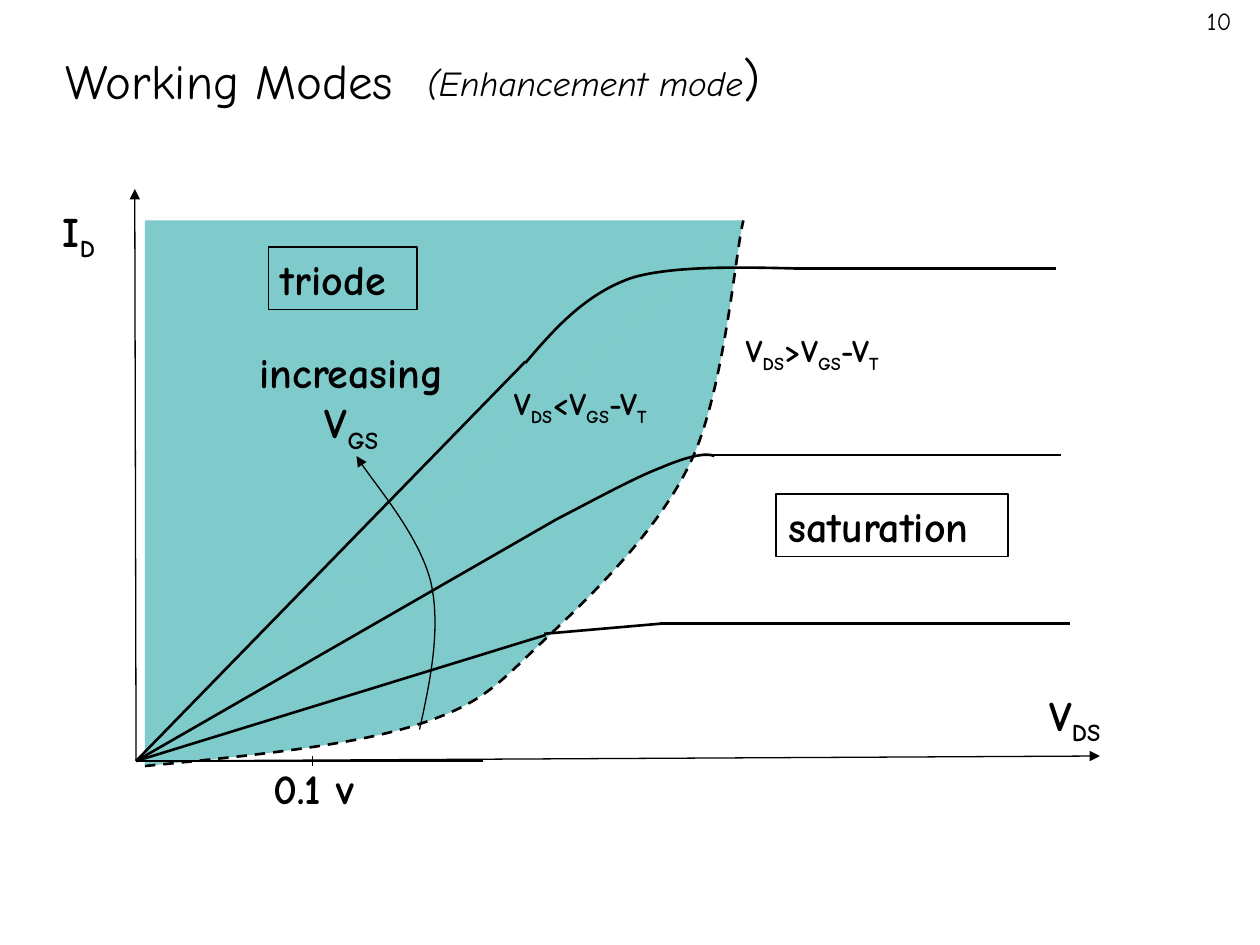
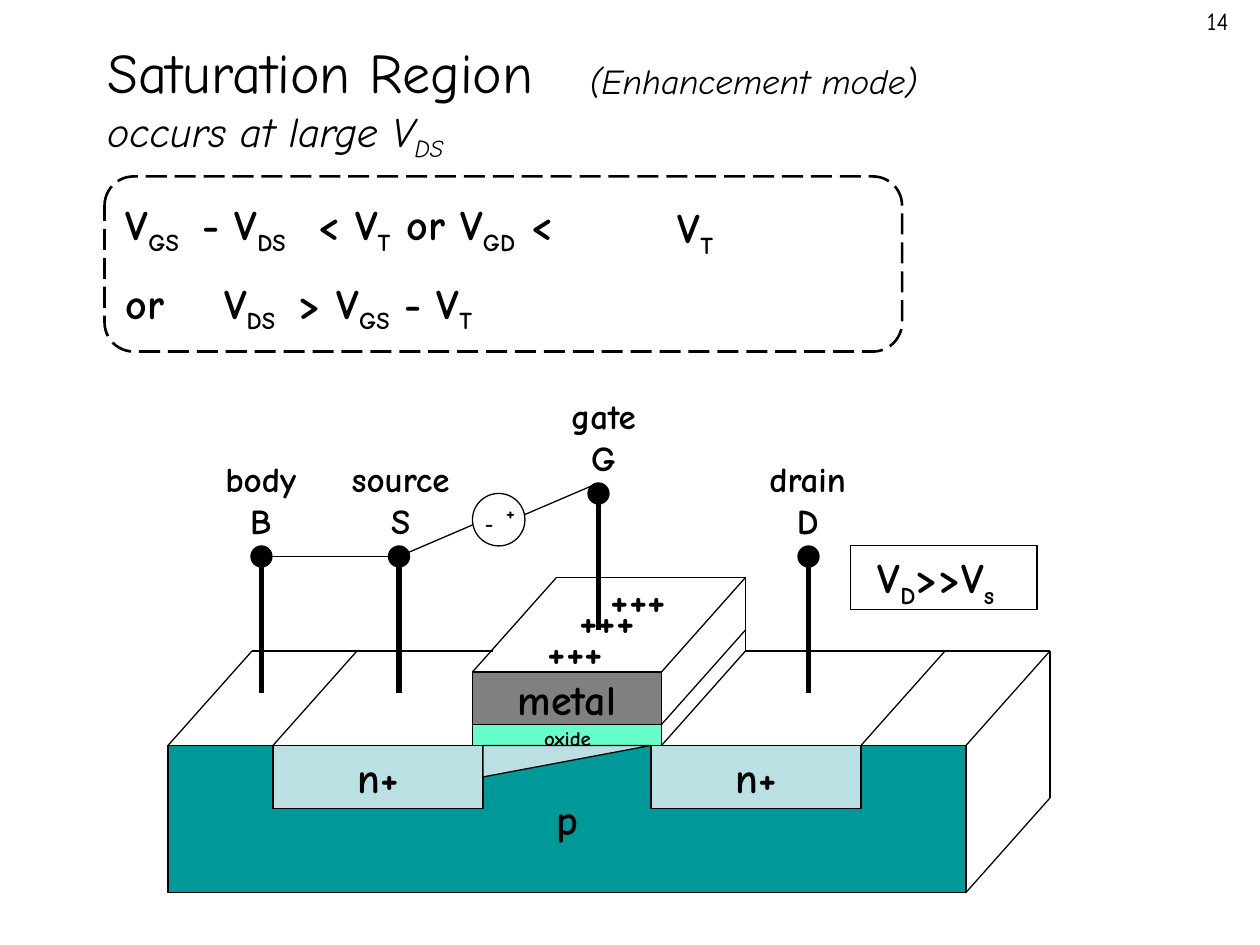
from dataclasses import dataclass

from lxml import etree
from pptx import Presentation
from pptx.dml.color import RGBColor
from pptx.enum.dml import MSO_LINE
from pptx.enum.shapes import MSO_CONNECTOR, MSO_SHAPE
from pptx.enum.text import MSO_ANCHOR, MSO_AUTO_SIZE, PP_ALIGN
from pptx.oxml.ns import qn
from pptx.util import Inches, Pt

RECT, OVAL = MSO_SHAPE.RECTANGLE, MSO_SHAPE.OVAL
TRIANGLE, ROUNDED = MSO_SHAPE.RIGHT_TRIANGLE, MSO_SHAPE.FLOWCHART_ALTERNATE_PROCESS
STRAIGHT = MSO_CONNECTOR.STRAIGHT
LEFT, CENTER = PP_ALIGN.LEFT, PP_ALIGN.CENTER
TOP, MIDDLE = MSO_ANCHOR.TOP, MSO_ANCHOR.MIDDLE
GROW, NO_FIT = MSO_AUTO_SIZE.SHAPE_TO_FIT_TEXT, MSO_AUTO_SIZE.NONE
DASH, LONG_DASH = MSO_LINE.DASH, MSO_LINE.LONG_DASH

FONT = "Comic Neue"
COLORS = {
    "ink": "000000", "paper": "FFFFFF", "teal": "009999",
    "doped": "BBE0E3", "oxide": "66FFCC", "metal": "808080",
}
THIN, MEDIUM, THICK = 0.75, 1.5, 3


@dataclass
class Label:
    """Text in a box; underscores enclose subscripts, newlines split paragraphs."""
    left: float
    top: float
    width: float
    height: float
    text: str
    size: float = 24
    align: PP_ALIGN = LEFT
    bold: bool = True
    italic: bool = False


@dataclass
class Block:
    """Front face of a layer, in grid units."""
    left: float
    top: float
    width: float
    height: float
    fill: str
    text: str = ""


@dataclass
class Terminal:
    """Dot centre in grid units, label centre in inches."""
    x: float
    y: float
    label_x: float
    text: str


# Shared helpers
def grid(*units: float):
    """Twelfths of an inch as inches."""
    return tuple(u / 12 for u in units)


def rgb(name):
    return RGBColor.from_string(COLORS[name])


def add_runs(p, text: str, size: float, bold=False, italic=False):
    fmt = {"name": FONT, "size": Pt(size), "bold": bold, "italic": italic}
    for i, part in enumerate(text.split("_")):
        if not part:
            continue
        r = p.add_run()
        r.text = part
        for name, value in fmt.items():
            setattr(r.font, name, value)
        r.font.color.rgb = rgb("ink")
        if i % 2:
            r._r.get_or_add_rPr().set("baseline", "-25000")


def write(tf, label: Label):
    for i, line in enumerate(label.text.split("\n")):
        p = tf.add_paragraph() if i else tf.paragraphs[0]
        p.alignment = label.align
        add_runs(p, line, label.size, label.bold, label.italic)


def add_label(slide, label: Label, wrap=False):
    box = (label.left, label.top, label.width, label.height)
    sp = slide.shapes.add_textbox(*map(Inches, box))
    tf = sp.text_frame
    tf.word_wrap, tf.auto_size = wrap, GROW
    write(tf, label)
    return tf


def set_tabs(p, *stops: float):
    tabs = etree.SubElement(p._p.get_or_add_pPr(), qn("a:tabLst"))
    for stop in stops:
        etree.SubElement(tabs, qn("a:tab"), pos=str(Inches(stop)), algn="l")


def set_line(line, width: float, dash=None):
    line.color.rgb = rgb("ink")
    line.width = Pt(width)
    if dash:
        line.dash_style = dash


def add_arrowhead(line):
    etree.SubElement(line._get_or_add_ln(), qn("a:tailEnd"), type="triangle")


def style_shape(sp, fill=None, width=None, dash=None, alpha=None):
    sp.shadow.inherit = False
    if fill:
        sp.fill.solid()
        sp.fill.fore_color.rgb = rgb(fill)
        if alpha:
            clr = sp._element.spPr.find(".//" + qn("a:srgbClr"))
            etree.SubElement(clr, qn("a:alpha"), val=str(alpha * 1000))
    else:
        sp.fill.background()
    if width:
        set_line(sp.line, width, dash)
    else:
        sp.line.fill.background()


def add_shape(slide, kind, box, fill=None, width=THIN, flip=False, **style):
    sp = slide.shapes.add_shape(kind, *map(Inches, box))
    style_shape(sp, fill, width, **style)
    if flip:
        sp._element.spPr.xfrm.set("flipV", "1")
    return sp


def add_boxed_label(slide, label: Label):
    box = (label.left, label.top, label.width, label.height)
    tf = add_shape(slide, RECT, box).text_frame
    tf.word_wrap, tf.vertical_anchor = True, TOP
    write(tf, label)


def add_line(slide, start, end, width=THIN, arrow=False):
    cx = slide.shapes.add_connector(STRAIGHT, *map(Inches, (*start, *end)))
    set_line(cx.line, width)
    if arrow:
        add_arrowhead(cx.line)
    etree.SubElement(cx._element.spPr, qn("a:effectLst"))


def add_curve(slide, points, width=MEDIUM, arrow=False, **style):
    """Joined cubic curves: a start, then two control points and an end for each."""
    start, *rest = [(Inches(x), Inches(y)) for x, y in points]
    fb = slide.shapes.build_freeform(*start, scale=1.0)
    fb.add_line_segments(rest, close=False)
    sp = fb.convert_to_shape()
    segments = list(sp._element.iter(qn("a:lnTo")))
    for i in range(0, len(segments), 3):
        first, *others = segments[i:i + 3]
        cubic = etree.SubElement(first.getparent(), qn("a:cubicBezTo"))
        for seg in (first, *others):
            cubic.append(seg[0])
            seg.getparent().remove(seg)
    style_shape(sp, width=width, **style)
    if arrow:
        add_arrowhead(sp.line)


def new_slide(prs, number: str, title_box, anchor):
    """Slide with its number; returns it with the first title paragraph."""
    slide = prs.slides.add_slide(prs.slide_layouts[5])
    sp = slide.shapes.title
    sp.left, sp.top, sp.width, sp.height = map(Inches, title_box)
    tf = sp.text_frame
    tf.auto_size, tf.vertical_anchor, tf.word_wrap = NO_FIT, anchor, True
    tf.paragraphs[0].alignment = LEFT
    add_label(slide, Label(9.48, 0, 0.52, 0.34, number, 14, bold=False))
    return slide, tf.paragraphs[0]


# Slide with the current-voltage curves
def working_modes(prs):
    slide, title = new_slide(prs, "10", (0.42, 0.35, 9, 0.73), TOP)
    add_runs(title, "Working Modes", 28)

    # Triode region and its boundary
    boundary = [(1.15, 6.08), (1.97, 6), (2.79, 5.92), (3.32, 5.75),
                (3.84, 5.58), (3.95, 5.43), (4.32, 5.08),
                (4.68, 4.74), (5.22, 4.22), (5.48, 3.67),
                (5.75, 3.11), (5.84, 1.97), (5.9, 1.75)]
    add_curve(slide, boundary, fill="teal", alpha=50, dash=DASH)
    add_shape(slide, TRIANGLE, (1.15, 1.75, 4.75, 4.33), "teal", None, flip=True, alpha=50)

    # Axes
    origin = (1.08, 6.04)
    for end in ((1.07, 1.5), (8.73, 6)):
        add_line(slide, origin, end, arrow=True)
    add_line(slide, (2.48, 6), (2.48, 6.08))

    # Linear parts, bends and saturated parts
    for end in ((4.33, 5.04), (4.42, 4.12), (4.17, 2.87), (3.83, 6.04)):
        add_line(slide, origin, end, MEDIUM)
    add_line(slide, (4.32, 5.03), (5.24, 4.95), MEDIUM)
    for left, right, y in ((5.24, 8.49, 4.95), (5.58, 8.42, 3.61), (6.3, 8.38, 2.13)):
        add_line(slide, (left, y), (right, y), MEDIUM)
    add_curve(slide, [(4.17, 2.88), (4.4, 2.61), (4.64, 2.34), (5, 2.21),
                      (5.36, 2.09), (6.11, 2.13), (6.33, 2.13)])
    add_curve(slide, [(4.42, 4.12), (4.73, 3.96), (5.04, 3.79), (5.25, 3.71),
                      (5.46, 3.62), (5.61, 3.59), (5.67, 3.62)])
    add_curve(slide, [(3.33, 5.79), (3.42, 5.39), (3.5, 4.98), (3.42, 4.62),
                      (3.33, 4.26), (2.93, 3.79), (2.83, 3.62)], THIN, arrow=True)

    # Labels
    add_boxed_label(slide, Label(2.13, 1.96, 1.18, 0.5, "triode"))
    add_boxed_label(slide, Label(6.16, 3.92, 1.84, 0.5, "saturation"))
    for label in (
        Label(0.4, 1.58, 0.55, 0.5, "I_D_"),
        Label(8.23, 5.42, 0.75, 0.5, "V_DS_"),
        Label(2.07, 6, 1.07, 0.5, "0.1 v"),
        Label(1.89, 2.7, 1.8, 0.91, "increasing\nV_GS_", align=CENTER),
        Label(5.82, 2.58, 1.61, 0.4, "V_DS_>V_GS_-V_T_", 18),
        Label(3.98, 3, 1.61, 0.4, "V_DS_<V_GS_-V_T_", 18),
    ):
        add_label(slide, label)
    mode = Label(3.29, 0.33, 2.94, 0.57, "(Enhancement mode", 20, bold=False, italic=True)
    add_runs(add_label(slide, mode).paragraphs[0], ")", 28)


# Slide with the transistor cross-section
def saturation_region(prs):
    slide, title = new_slide(prs, "14", (0.75, 0.17, 8.5, 1.25), MIDDLE)
    add_runs(title, "Saturation Region", 32)
    title.add_line_break()
    add_runs(title, "occurs at large V_DS_", 24, italic=True)

    # Layers
    for b in (
        Block(16, 71, 76, 14, "teal", "p"),
        Block(62, 71, 20, 6, "doped", "n+"),
        Block(26, 71, 20, 6, "doped", "n+"),
        Block(45, 69, 18, 2, "oxide"),
        Block(45, 64, 18, 5, "metal", "metal"),
    ):
        box = grid(b.left, b.top, b.width, b.height)
        tf = add_shape(slide, RECT, box, b.fill).text_frame
        tf.word_wrap, tf.vertical_anchor = False, MIDDLE
        if b.text:
            write(tf, Label(*box, b.text, align=CENTER))

    # Receding edges, then the back edges
    for x, y in ((92, 71), (92, 85), (82, 71), (63, 71), (63, 69),
                 (63, 64), (45, 64), (26, 71), (16, 71)):
        add_line(slide, grid(x, y), grid(x + 8, y - 9))
    for x1, y1, x2, y2 in ((24, 62, 47, 62), (71, 62, 100, 62), (100, 62, 100, 76),
                           (71, 55, 71, 62), (53, 55, 71, 55)):
        add_line(slide, grid(x1, y1), grid(x2, y2))

    # Terminals
    for t in (Terminal(38, 53, 3.18, "source\nS"), Terminal(57, 47, 4.79, "gate\nG"),
              Terminal(77, 53, 6.41, "drain\nD"), Terminal(24.9, 53, 2.07, "body\nB")):
        add_line(slide, grid(t.x, t.y + 13), grid(t.x, t.y + 1), THICK)
        add_shape(slide, OVAL, grid(t.x - 1, t.y - 1, 2, 2), "ink")
        top = (t.y - 10) / 12
        add_label(slide, Label(t.label_x - 0.54, top, 1.08, 0.77, t.text, 20, CENTER))
    add_label(slide, Label(4.19, 5.71, 0.63, 0.3, "oxide", 12, CENTER))

    # Wiring and gate source
    for x1, y1, x2, y2 in ((25, 53, 37, 53), (38, 53, 45, 50), (50, 49, 57, 46)):
        add_line(slide, grid(x1, y1), grid(x2, y2))
    add_shape(slide, OVAL, grid(45, 47, 5, 5), "paper")
    for x, y, sign in ((47, 47, "+"), (45, 48, "-")):
        add_label(slide, Label(*grid(x, y), 0.31, 0.3, sign, 12))

    # Charges, drain voltage and channel
    for x, y in ((51, 59), (57, 54), (54, 56)):
        add_label(slide, Label(*grid(x, y), 0.82, 0.51, "+++"))
    add_boxed_label(slide, Label(6.75, 4.33, 1.48, 0.51, " V_D_>>V_s_"))
    add_shape(slide, TRIANGLE, grid(46, 71, 16, 3), "doped", flip=True)

    # Conditions
    tf = add_label(slide, Label(
        0.9, 1.53, 5.18, 1.11,
        "V_GS _ - V_DS_\t< V_T_\tor V_GD_ <\nor\tV_DS _ > V_GS_ - V_T_"), wrap=True)
    first, second = tf.paragraphs
    second.space_before = Pt(12)
    set_tabs(first, 1.52, 2.23)
    set_tabs(second, 0.78)
    add_label(slide, Label(5.28, 1.55, 0.58, 0.51, "V_T_"))
    add_label(slide, Label(4.58, 0.42, 2.9, 0.44, "(Enhancement mode)", 20,
                           bold=False, italic=True))
    add_shape(slide, ROUNDED, (0.83, 1.4, 6.33, 1.39), width=MEDIUM, dash=LONG_DASH)


def main():
    prs = Presentation()
    prs.slide_width, prs.slide_height = Inches(10), Inches(7.5)
    working_modes(prs)
    saturation_region(prs)
    prs.save("out.pptx")


if __name__ == "__main__":
    main()
